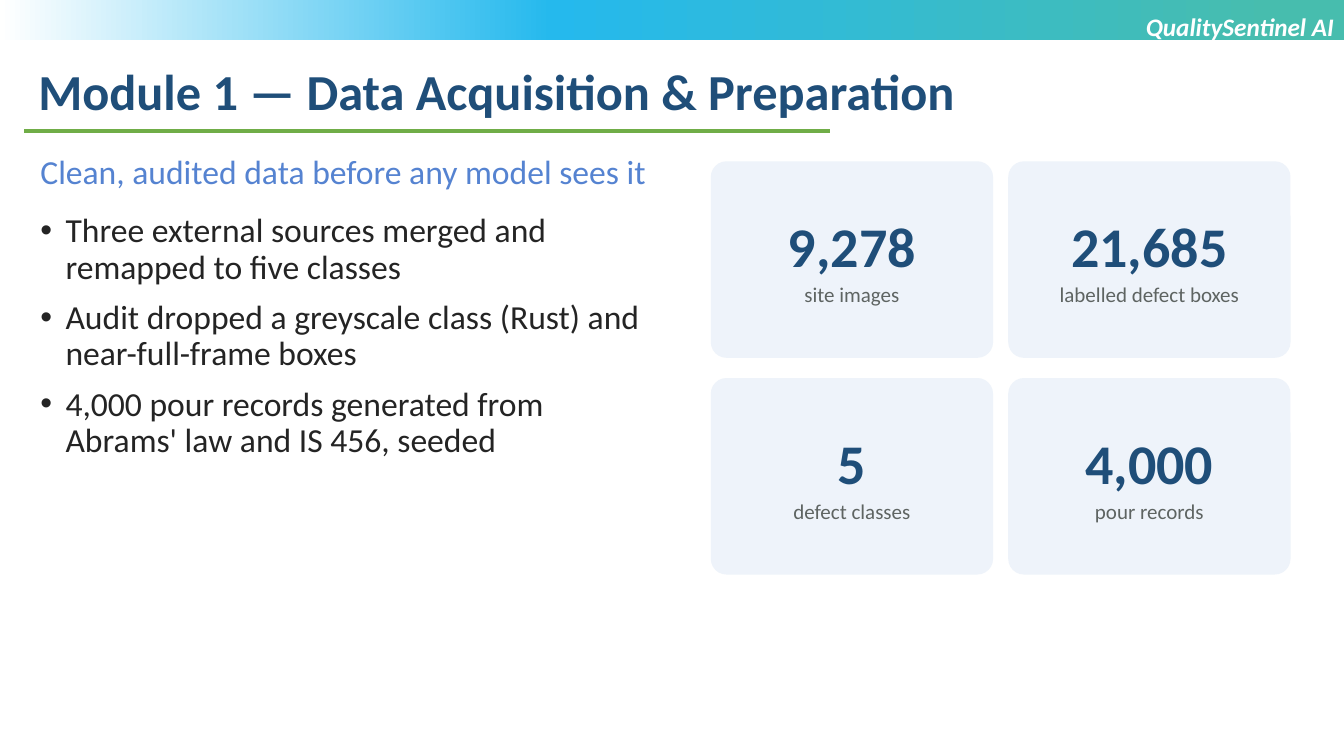
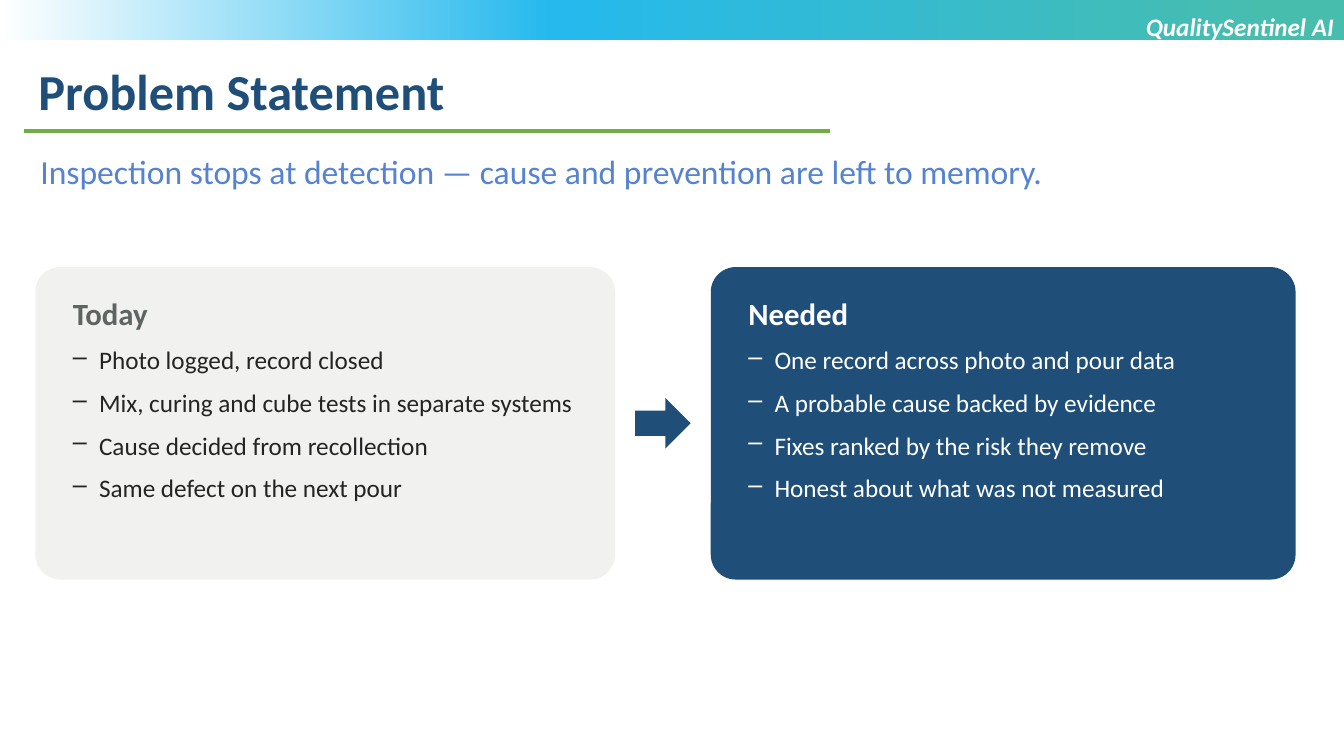
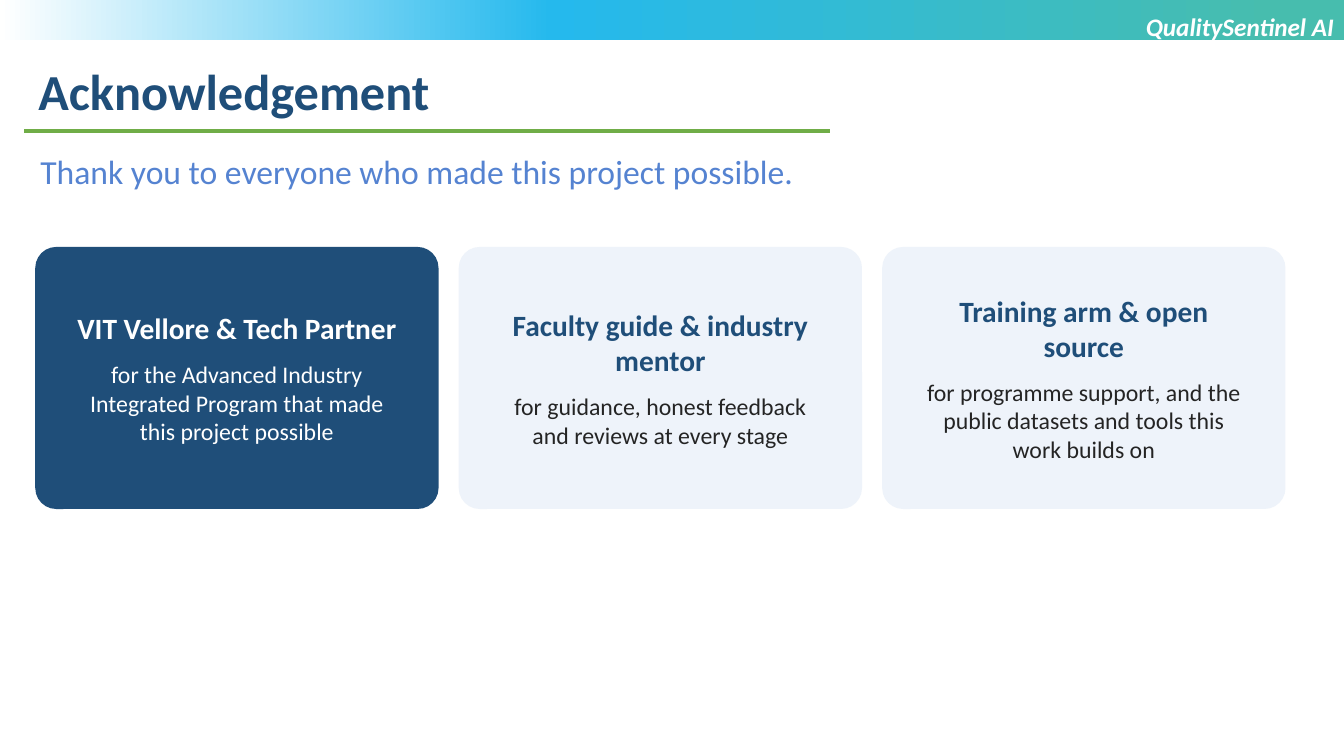
from copy import deepcopy
from dataclasses import dataclass

from lxml.etree import SubElement
from pptx import Presentation
from pptx.dml.color import RGBColor as RGB
from pptx.enum.shapes import MSO_CONNECTOR, MSO_SHAPE
from pptx.enum.text import MSO_ANCHOR, MSO_AUTO_SIZE, PP_ALIGN
from pptx.oxml.ns import qn
from pptx.util import Inches, Pt


@dataclass(frozen=True)
class Theme:
    font: str = "Calibri"
    navy: str = "1F4E79"
    blue: str = "5583D1"
    green: str = "70AD47"
    ink: str = "242424"
    grey: str = "5E6462"
    white: str = "FFFFFF"
    pale: str = "EEF3FA"
    mist: str = "F1F2F0"
    band: tuple = ((0.05, "47BDAE"), (0.59, "25B9ED"), (1, "FFFFFF"))
    title_size: int = 36
    lead_size: int = 24
    brand_size: int = 18
    figure_size: int = 40
    caption_size: int = 15
    panel_title_size: int = 22
    panel_item_size: int = 18
    thanks_title_size: int = 21
    thanks_text_size: int = 17


@dataclass
class Line:
    text: str
    size: int
    color: str
    bold: bool = False
    italic: bool = False
    align: PP_ALIGN = PP_ALIGN.LEFT
    before: int = 0
    after: int = 0
    spacing: float = 1.0
    bullet: str = ""
    indent: float = 0


class Deck:
    def __init__(self, theme):
        self.theme = theme
        self.prs = Presentation()
        self.prs.slide_width, self.prs.slide_height = Inches(13.33), Inches(7.5)
        self.layout = self.prs.slide_layouts[1]
        self.slide = None

    def start(self, title, lead, bullets=(), body_width=12.4, body_height=1):
        t = self.theme
        first = self.slide is None
        self.slide = self.prs.slides.add_slide(self.layout)
        if first:
            self.band()
        heading, body = self.slide.placeholders
        self.place(heading, 0.28, 0.55, 11.62, 0.71)
        self.set_lines(heading.text_frame, [Line(title, t.title_size, t.navy, bold=True)])
        self.place(body, 0.3, 1.45, body_width, body_height)
        self.set_lines(body.text_frame, [Line(lead, t.lead_size, t.blue, after=6)] + [
            Line(item, t.lead_size, t.ink, before=10, spacing=0.9, bullet="•", indent=0.25)
            for item in bullets])
        self.rule(0.24, 8.23, 1.3)
        brand = self.slide.shapes.add_textbox(
            Inches(6.66), Inches(0.06), Inches(6.67), Inches(0.71))
        self.set_lines(brand.text_frame, [Line(
            "QualitySentinel AI", t.brand_size, t.white, True, True, PP_ALIGN.RIGHT)])

    def place(self, holder, left, top, width, height):
        holder.left, holder.top = Inches(left), Inches(top)
        holder.width, holder.height = Inches(width), Inches(height)

    def set_lines(self, frame, lines, anchor=MSO_ANCHOR.TOP, margins=(0.1, 0.05, 0.1, 0.05)):
        frame.word_wrap = True
        frame.auto_size = MSO_AUTO_SIZE.NONE
        frame.vertical_anchor = anchor
        (frame.margin_left, frame.margin_top,
         frame.margin_right, frame.margin_bottom) = map(Inches, margins)
        for number, line in enumerate(lines):
            paragraph = frame.add_paragraph() if number else frame.paragraphs[0]
            paragraph.text = line.text
            self.bullet(paragraph, line)
            paragraph.alignment = line.align
            paragraph.space_before, paragraph.space_after = Pt(line.before), Pt(line.after)
            paragraph.line_spacing = line.spacing
            font = paragraph.font
            font.name, font.size = self.theme.font, Pt(line.size)
            font.bold, font.italic = line.bold, line.italic
            font.color.rgb = RGB.from_string(line.color)

    def bullet(self, paragraph, line):
        props = paragraph._p.get_or_add_pPr()
        props.set("marL", str(Inches(line.indent)))
        props.set("indent", str(-Inches(line.indent)))
        if line.bullet:
            SubElement(props, qn("a:buChar")).set("char", line.bullet)
        else:
            SubElement(props, qn("a:buNone"))

    def shape(self, kind, left, top, width, height, fill=None):
        shape = self.slide.shapes.add_shape(
            kind, Inches(left), Inches(top), Inches(width), Inches(height))
        shape.shadow.inherit = False
        shape.line.fill.background()
        if fill:
            shape.fill.solid()
            shape.fill.fore_color.rgb = RGB.from_string(fill)
        return shape

    def band(self):
        band = self.shape(MSO_SHAPE.RECTANGLE, 0, 0, 13.33, 0.4)
        band.fill.gradient()
        band.fill.gradient_angle = 180
        stops = band.element.spPr.find(".//" + qn("a:gsLst"))
        stops.append(deepcopy(stops[0]))
        for stop, (position, color) in zip(band.fill.gradient_stops, self.theme.band):
            stop.position = position
            stop.color.rgb = RGB.from_string(color)
        self.layout.shapes.element.insert(2, band.element)

    def rule(self, left, right, top):
        rule = self.slide.shapes.add_connector(
            MSO_CONNECTOR.STRAIGHT, Inches(left), Inches(top), Inches(right), Inches(top))
        rule.line.color.rgb = RGB.from_string(self.theme.green)
        rule.line.width = Pt(2.25)
        SubElement(rule.element.spPr, qn("a:effectLst"))

    def card(self, box, fill, lines, anchor, margins):
        card = self.shape(MSO_SHAPE.ROUNDED_RECTANGLE, *box, fill)
        card.adjustments[0] = 0.08
        self.set_lines(card.text_frame, lines, anchor, margins)

    def figure(self, box, value, caption):
        t = self.theme
        self.card(box, t.pale, [
            Line(value, t.figure_size, t.navy, bold=True, align=PP_ALIGN.CENTER),
            Line(caption, t.caption_size, t.grey, align=PP_ALIGN.CENTER, before=2),
        ], MSO_ANCHOR.MIDDLE, (0.14, 0.08, 0.14, 0.08))

    def panel(self, box, fill, title, title_color, items, item_color):
        t = self.theme
        self.card(box, fill, [Line(title, t.panel_title_size, title_color, bold=True)] + [
            Line(item, t.panel_item_size, item_color, before=9, bullet="–", indent=0.26)
            for item in items], MSO_ANCHOR.TOP, (0.3, 0.2, 0.14, 0.08))

    def thanks(self, box, name, reason, dark):
        t = self.theme
        fill, name_color, reason_color = (
            (t.navy, t.white, t.white) if dark else (t.pale, t.navy, t.ink))
        self.card(box, fill, [
            Line(name, t.thanks_title_size, name_color, bold=True, align=PP_ALIGN.CENTER),
            Line(reason, t.thanks_text_size, reason_color, align=PP_ALIGN.CENTER, before=10),
        ], MSO_ANCHOR.MIDDLE, (0.3, 0.08, 0.3, 0.08))


def data_slide(deck):
    deck.start("Module 1 — Data Acquisition & Preparation",
               "Clean, audited data before any model sees it",
               ["Three external sources merged and remapped to five classes",
                "Audit dropped a greyscale class (Rust) and near-full-frame boxes",
                "4,000 pour records generated from Abrams' law and IS 456, seeded"],
               body_width=6.35, body_height=4.5)
    figures = [("9,278", "site images"), ("21,685", "labelled defect boxes"),
               ("5", "defect classes"), ("4,000", "pour records")]
    for number, (value, caption) in enumerate(figures):
        row, column = divmod(number, 2)
        deck.figure((7.05 + 2.95 * column, 1.6 + 2.15 * row, 2.8, 1.95), value, caption)


def problem_slide(deck):
    t = deck.theme
    deck.start("Problem Statement",
               "Inspection stops at detection — cause and prevention are left to memory.")
    deck.panel((0.35, 2.65, 5.75, 3.1), t.mist, "Today", t.grey,
               ["Photo logged, record closed",
                "Mix, curing and cube tests in separate systems",
                "Cause decided from recollection",
                "Same defect on the next pour"], t.ink)
    deck.shape(MSO_SHAPE.RIGHT_ARROW, 6.3, 3.95, 0.55, 0.5, t.navy)
    deck.panel((7.05, 2.65, 5.8, 3.1), t.navy, "Needed", t.white,
               ["One record across photo and pour data",
                "A probable cause backed by evidence",
                "Fixes ranked by the risk they remove",
                "Honest about what was not measured"], t.white)


def acknowledgement_slide(deck):
    deck.start("Acknowledgement",
               "Thank you to everyone who made this project possible.", body_height=0.7)
    supporters = [
        ("VIT Vellore & Tech Partner",
         "for the Advanced Industry Integrated Program that made this project possible"),
        ("Faculty guide & industry mentor",
         "for guidance, honest feedback and reviews at every stage"),
        ("Training arm & open source",
         "for programme support, and the public datasets and tools this work builds on")]
    for column, (name, reason) in enumerate(supporters):
        deck.thanks((0.35 + 4.2 * column, 2.45, 4, 2.6), name, reason, dark=column == 0)


def main():
    deck = Deck(Theme())
    data_slide(deck)
    problem_slide(deck)
    acknowledgement_slide(deck)
    deck.prs.save("out.pptx")


if __name__ == "__main__":
    main()
